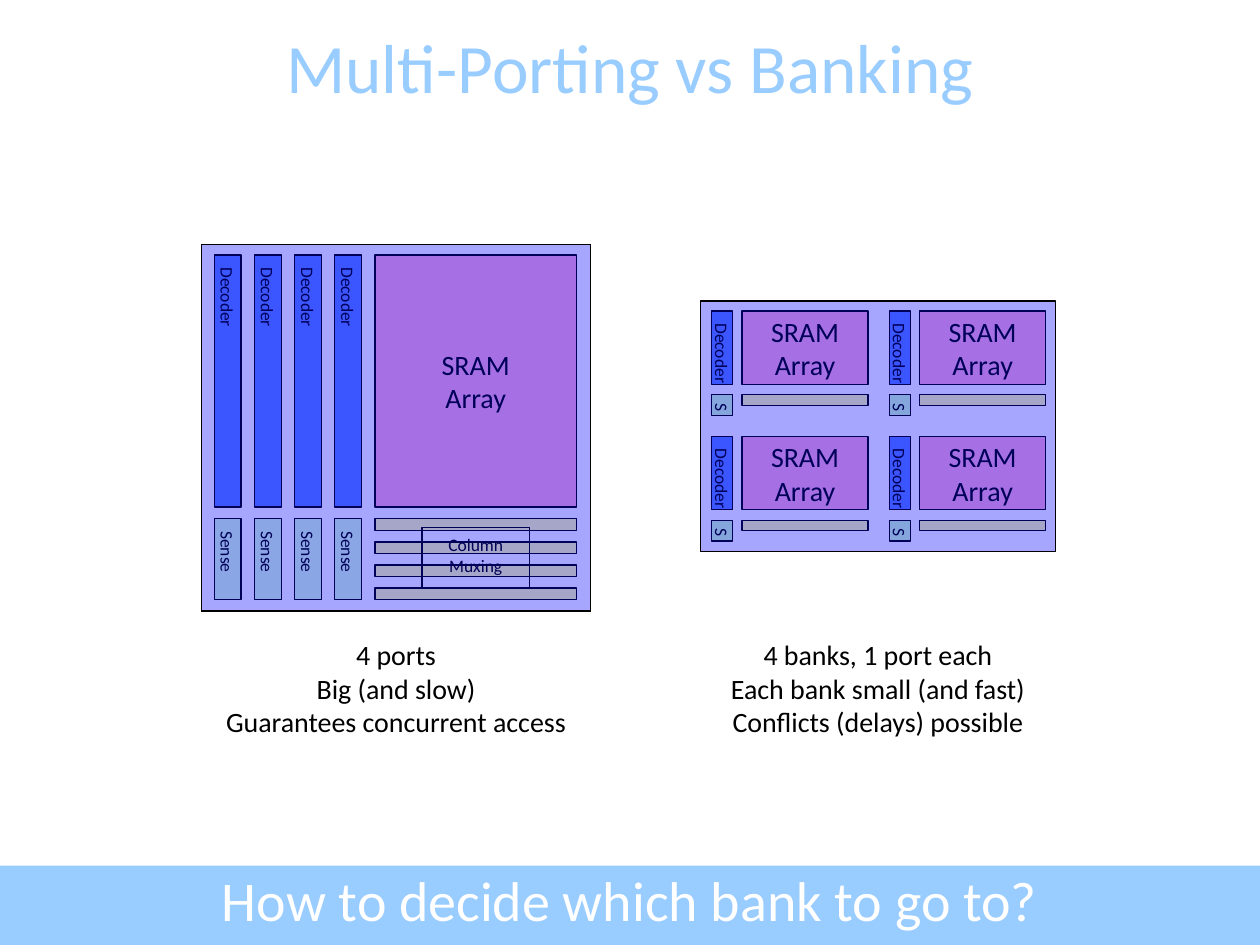
from dataclasses import dataclass

import lxml.etree
import pptx
import pptx.dml.color
import pptx.enum.shapes
import pptx.enum.text
import pptx.oxml.ns
import pptx.shapes.autoshape
import pptx.slide
import pptx.util

FONT = "Calibri"
BLACK = "000000"
WHITE = "FFFFFF"
SKY = "99CCFF"
MIDDLE = pptx.enum.text.MSO_ANCHOR.MIDDLE
TOP = pptx.enum.text.MSO_ANCHOR.TOP


@dataclass(frozen=True)
class Area:
    left: float
    top: float
    width: float
    height: float

    def lengths(self) -> list[pptx.util.Length]:
        return [pptx.util.Cm(value) for value in (self.left, self.top, self.width, self.height)]


@dataclass(frozen=True)
class Block:
    fill: str | None
    opacity: int = 80
    text: str = ""
    size: float = 10
    vertical: bool = False
    line: str | None = BLACK
    grow: bool = False


DECODER = Block("3366FF", text="Decoder", vertical=True)
SENSE = Block("CCFFCC", text="Sense", vertical=True)
SMALL_SENSE = Block("CCFFCC", opacity=100, text="S", vertical=True)
ARRAY = Block("FF99CC", text="SRAM\nArray", size=16)
COLUMN_MUX = Block("FFFF99")
MUX_LABEL = Block(None, text="Column\nMuxing", grow=True)
COVER = Block("0000FF", opacity=35)
OUTLINE = Block(None)
FOOTER_BAR = Block(SKY, opacity=100, line=None)


def color(value: str) -> pptx.dml.color.RGBColor:
    return pptx.dml.color.RGBColor.from_string(value)


def write_text(frame: pptx.text.text.TextFrame, text: str, size: float, ink: str) -> None:
    frame.text = text
    for paragraph in frame.paragraphs:
        paragraph.alignment = pptx.enum.text.PP_ALIGN.CENTER
        paragraph.font.name = FONT
        paragraph.font.size = pptx.util.Pt(size)
        paragraph.font.color.rgb = color(ink)


def paint(shape: pptx.shapes.autoshape.Shape, block: Block) -> None:
    if block.fill is None:
        shape.fill.background()
    else:
        shape.fill.solid()
        shape.fill.fore_color.rgb = color(block.fill)
        if block.opacity < 100:
            fill_color = shape.element.spPr.find(".//" + pptx.oxml.ns.qn("a:srgbClr"))
            alpha = lxml.etree.SubElement(fill_color, pptx.oxml.ns.qn("a:alpha"))
            alpha.set("val", str(block.opacity * 1000))
    if block.line is None:
        shape.line.fill.background()
    else:
        shape.line.color.rgb = color(block.line)
        shape.line.width = pptx.util.Pt(0.75)


def add_block(slide: pptx.slide.Slide, area: Area, block: Block) -> None:
    shape = slide.shapes.add_shape(
        pptx.enum.shapes.MSO_SHAPE.RECTANGLE, *area.lengths()
    )
    shape.shadow.inherit = False
    paint(shape, block)
    if not block.text:
        return
    frame = shape.text_frame
    write_text(frame, block.text, block.size, BLACK)
    frame.word_wrap = False
    frame.vertical_anchor = TOP if block.grow else MIDDLE
    if block.grow:
        frame.auto_size = pptx.enum.text.MSO_AUTO_SIZE.SHAPE_TO_FIT_TEXT
    if block.vertical:
        shape.element.find(".//" + pptx.oxml.ns.qn("a:bodyPr")).set("vert", "eaVert")


def add_text(
    slide: pptx.slide.Slide,
    area: Area,
    text: str,
    size: float,
    ink: str,
    anchor: pptx.enum.text.MSO_ANCHOR = TOP,
) -> None:
    frame = slide.shapes.add_textbox(*area.lengths()).text_frame
    frame.word_wrap = True
    frame.vertical_anchor = anchor
    write_text(frame, text, size, ink)


def add_multi_ported_memory(slide: pptx.slide.Slide) -> None:
    panel = Area(4.06, 4.93, 7.85, 7.39)
    array = Area(7.56, 5.14, 4.06, 5.08)
    periphery_top = 10.46
    for port in range(4):
        left = 4.32 + port * 0.81
        add_block(slide, Area(left, array.top, 0.54, array.height), DECODER)
        add_block(slide, Area(left, periphery_top, 0.54, 1.63), SENSE)
        mux_top = periphery_top + port * 0.465
        add_block(slide, Area(array.left, mux_top, array.width, 0.23), COLUMN_MUX)
    add_block(slide, array, ARRAY)
    add_block(slide, Area(8.51, 10.64, 2.16, 1.22), MUX_LABEL)
    add_block(slide, panel, COVER)
    add_block(slide, panel, OUTLINE)


def add_bank(slide: pptx.slide.Slide, left: float, top: float) -> None:
    array_left = left + 0.61
    periphery_top = top + 1.69
    add_block(slide, Area(left, periphery_top, 0.42, 0.42), SMALL_SENSE)
    add_block(slide, Area(left, top, 0.42, 1.48), DECODER)
    add_block(slide, Area(array_left, top, 2.54, 1.48), ARRAY)
    add_block(slide, Area(array_left, periphery_top, 2.54, 0.21), COLUMN_MUX)


def add_banked_memory(slide: pptx.slide.Slide) -> None:
    for column in range(2):
        for row in range(2):
            add_bank(slide, 14.35 + column * 3.58, 6.27 + row * 2.53)
    add_block(slide, Area(14.12, 6.07, 7.16, 5.05), COVER)


def main() -> None:
    presentation = pptx.Presentation()
    presentation.slide_width = pptx.util.Cm(25.4)
    presentation.slide_height = pptx.util.Cm(19.05)
    slide = presentation.slides.add_slide(presentation.slide_layouts[6])

    add_block(slide, Area(0, 17.45, 25.4, 1.6), FOOTER_BAR)
    add_text(slide, Area(0, 0.53, 25.4, 1.6), "Multi-Porting vs Banking", 39.6, SKY, MIDDLE)
    add_multi_ported_memory(slide)
    add_banked_memory(slide)
    add_text(
        slide,
        Area(4.06, 12.73, 7.85, 2.31),
        "4 ports\nBig (and slow)\nGuarantees concurrent access",
        16,
        BLACK,
    )
    add_text(
        slide,
        Area(14.12, 12.73, 7.16, 2.31),
        "4 banks, 1 port each\nEach bank small (and fast)\nConflicts (delays) possible",
        16,
        BLACK,
    )
    add_text(slide, Area(0, 17.32, 25.4, 1.6), "How to decide which bank to go to?", 32, WHITE)
    presentation.save("out.pptx")


if __name__ == "__main__":
    main()
